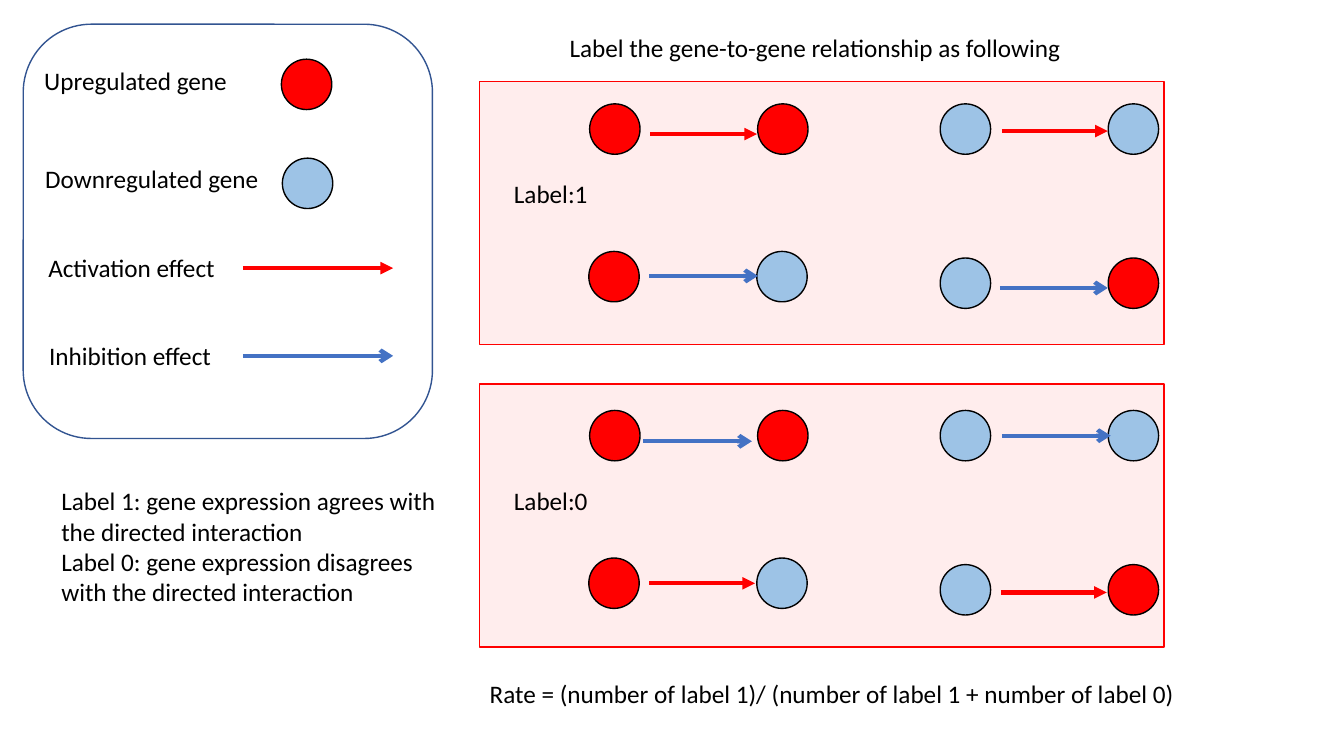
from dataclasses import dataclass

from lxml.etree import SubElement
from pptx import Presentation
from pptx.dml.color import RGBColor
from pptx.enum.shapes import MSO_CONNECTOR, MSO_SHAPE as Preset
from pptx.enum.text import MSO_ANCHOR, MSO_AUTO_SIZE, PP_ALIGN
from pptx.oxml.ns import qn
from pptx.shapes.autoshape import Shape
from pptx.slide import Slide
from pptx.util import Pt


@dataclass(frozen=True)
class Theme:
    font: str = "Calibri"
    text_size: float = 18
    outline: float = 1
    arrow_width: float = 3
    text: RGBColor = RGBColor(0, 0, 0)
    red: RGBColor = RGBColor(255, 0, 0)
    light_blue: RGBColor = RGBColor(0x9D, 0xC3, 0xE6)
    blue: RGBColor = RGBColor(0x44, 0x72, 0xC4)
    legend_line: RGBColor = RGBColor(0x32, 0x54, 0x91)
    panel_alpha: int = 7000


THEME = Theme()
UP, DOWN = THEME.red, THEME.light_blue
GENE_SIZE = 36
GENE_STEP = 120


@dataclass(frozen=True)
class Effect:
    color: RGBColor
    head: str


ACTIVATION = Effect(THEME.red, "triangle")
INHIBITION = Effect(THEME.blue, "arrow")


@dataclass(frozen=True)
class Label:
    text: str
    left: float
    top: float
    width: float
    height: float = 29


@dataclass(frozen=True)
class Arrow:
    effect: Effect
    start: float
    end: float
    y: float


@dataclass(frozen=True)
class GenePair:
    source: RGBColor
    target: RGBColor
    left: float
    top: float


@dataclass(frozen=True)
class Panel:
    label: Label
    top: float
    gene_shift: float
    arrows: tuple[Arrow, ...]


TITLE = Label("Label the gene-to-gene relationship as following", 399.6, 19.5, 397.5)
LABELS = (
    Label("Upregulated gene", 24.5, 43.2, 159),
    Label("Downregulated gene", 25.2, 113, 212),
    Label("Activation effect", 27.4, 176.4, 212),
    Label("Inhibition effect", 28, 239.8, 212),
    Label("Rate = (number of label 1)/ (number of label 1 + number of label 0)",
          342.7, 481, 559.5),
    Label("Label 1: gene expression agrees with the directed interaction\n"
          "Label 0: gene expression disagrees with the directed interaction",
          36.7, 343.4, 288.7, 94.3),
)
LEGEND_GENES = ((UP, 201, 42.3), (DOWN, 201.7, 113))
LEGEND_ARROWS = (
    Arrow(ACTIVATION, 173.5, 280.8, 191.5),
    Arrow(INHIBITION, 173.5, 280.8, 254.2),
)
# Both panels hold the same four pairs; only the effects differ.
PAIRS = (
    GenePair(UP, UP, 421.2, 74.2),
    GenePair(DOWN, DOWN, 671.6, 74.2),
    GenePair(UP, DOWN, 420.6, 179.6),
    GenePair(DOWN, UP, 671.6, 184.3),
)
PANELS = (
    Panel(Label("Label:1", 360, 123.8, 80), 58.3, 0, (
        Arrow(ACTIVATION, 464.4, 540.7, 95.8),
        Arrow(ACTIVATION, 715.7, 791.3, 93.6),
        Arrow(INHIBITION, 463.7, 541.4, 197.1),
        Arrow(INHIBITION, 714.2, 791.3, 205.7),
    )),
    Panel(Label("Label:0", 360, 343.4, 80), 274.3, 219, (
        Arrow(INHIBITION, 459.4, 537.1, 315.2),
        Arrow(INHIBITION, 715.7, 793.4, 311.2),
        Arrow(ACTIVATION, 463.7, 539.3, 416.7),
        Arrow(ACTIVATION, 715, 790.6, 423.2),
    )),
)


def write_label(box: Shape, label: Label) -> None:
    """Place a text box or the title placeholder and fill it with the label."""
    box.left, box.top = Pt(label.left), Pt(label.top)
    box.width, box.height = Pt(label.width), Pt(label.height)
    frame = box.text_frame
    frame.text = label.text
    frame.word_wrap = True
    frame.auto_size = MSO_AUTO_SIZE.SHAPE_TO_FIT_TEXT
    frame.vertical_anchor = MSO_ANCHOR.TOP
    for para in frame.paragraphs:
        para.alignment = PP_ALIGN.LEFT
        for span in para.runs:
            span.font.name = THEME.font
            span.font.size = Pt(THEME.text_size)
            span.font.color.rgb = THEME.text


def add_label(page: Slide, label: Label) -> None:
    write_label(page.shapes.add_textbox(0, 0, 0, 0), label)


def add_outlined(page: Slide, preset: Preset, left: float, top: float,
                 width: float, height: float, line: RGBColor,
                 fill: RGBColor | None = None) -> Shape:
    shape = page.shapes.add_shape(preset, Pt(left), Pt(top), Pt(width), Pt(height))
    shape.shadow.inherit = False
    shape.line.color.rgb = line
    shape.line.width = Pt(THEME.outline)
    if fill is None:
        shape.fill.background()
    else:
        shape.fill.solid()
        shape.fill.fore_color.rgb = fill
    return shape


def add_gene(page: Slide, color: RGBColor, left: float, top: float) -> None:
    add_outlined(page, Preset.OVAL, left, top, GENE_SIZE, GENE_SIZE, THEME.text, color)


def add_arrow(page: Slide, arrow: Arrow) -> None:
    connector = page.shapes.add_connector(
        MSO_CONNECTOR.STRAIGHT, Pt(arrow.start), Pt(arrow.y), Pt(arrow.end), Pt(arrow.y))
    connector.line.color.rgb = arrow.effect.color
    connector.line.width = Pt(THEME.arrow_width)
    properties = connector.element.spPr
    SubElement(properties.find(qn("a:ln")), qn("a:tailEnd"), type=arrow.effect.head)
    SubElement(properties, qn("a:effectLst"))


def add_panel(page: Slide, panel: Panel) -> None:
    area = add_outlined(page, Preset.RECTANGLE, 342.7, panel.top, 488.9, 188,
                        THEME.red, THEME.red)
    color = area.element.spPr.find(qn("a:solidFill")).find(qn("a:srgbClr"))
    SubElement(color, qn("a:alpha"), val=str(THEME.panel_alpha))
    for pair in PAIRS:
        top = pair.top + panel.gene_shift
        add_gene(page, pair.source, pair.left, top)
        add_gene(page, pair.target, pair.left + GENE_STEP, top)
    for arrow in panel.arrows:
        add_arrow(page, arrow)
    add_label(page, panel.label)


def main() -> None:
    deck = Presentation()
    deck.slide_width, deck.slide_height = Pt(960), Pt(540)
    page = deck.slides.add_slide(deck.slide_layouts[5])
    write_label(page.shapes.title, TITLE)
    add_outlined(page, Preset.ROUNDED_RECTANGLE, 16.6, 17.3, 292.3, 295.9,
                 THEME.legend_line)
    for color, left, top in LEGEND_GENES:
        add_gene(page, color, left, top)
    for arrow in LEGEND_ARROWS:
        add_arrow(page, arrow)
    for panel in PANELS:
        add_panel(page, panel)
    for label in LABELS:
        add_label(page, label)
    deck.save("out.pptx")


if __name__ == "__main__":
    main()
